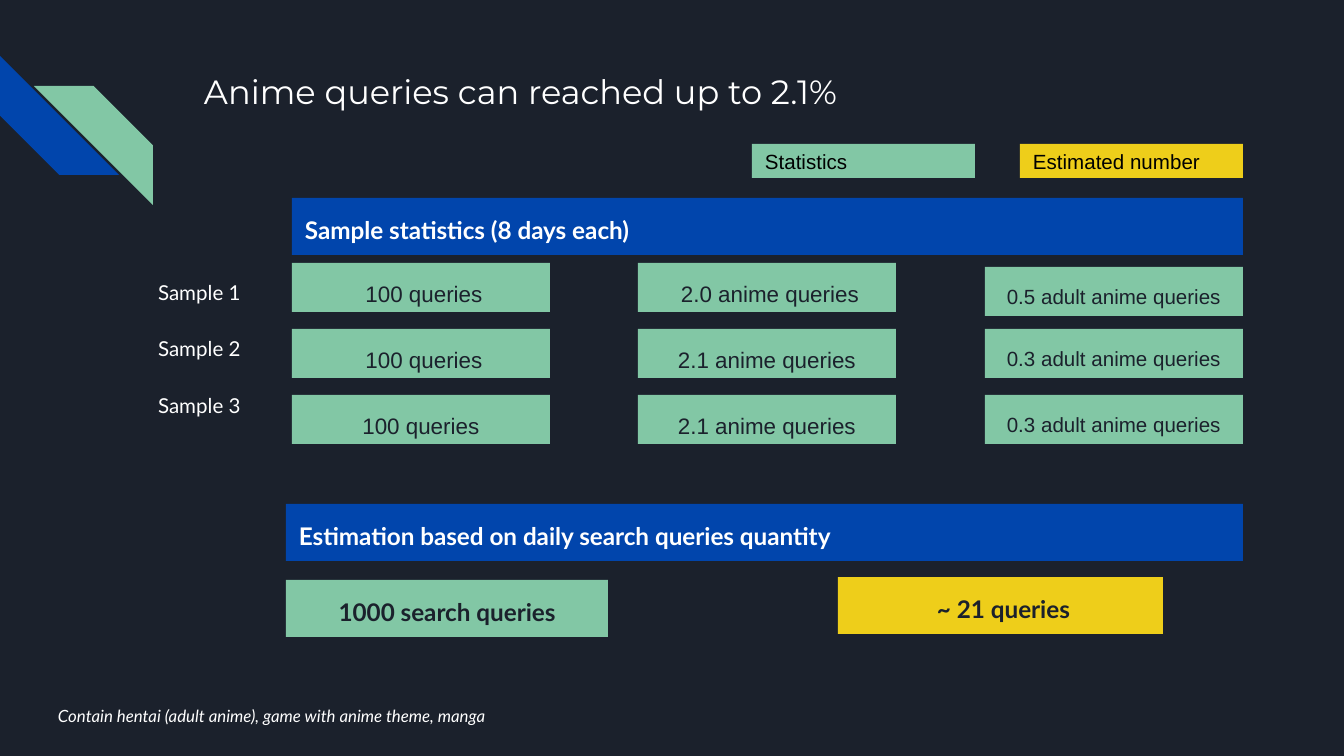
from pptx import Presentation
from pptx.dml.color import RGBColor
from pptx.enum.shapes import MSO_SHAPE
from pptx.enum.text import MSO_ANCHOR, PP_ALIGN
from pptx.util import Pt

EMU_PER_PX = 914400 / 134.4
NAVY, BLUE, GREEN, YELLOW = "1B212C", "0145AC", "82C7A5", "EECE1A"
WHITE, BLACK = "FFFFFF", "000000"

# Text formats
BODY = dict(line_spacing=1.15, space_after=Pt(12))
CENTRED = dict(BODY, alignment=PP_ALIGN.CENTER)
LEFT = dict(BODY, alignment=PP_ALIGN.LEFT)
PLAIN = dict(alignment=PP_ALIGN.LEFT)
TITLE = dict(name="Montserrat", size=Pt(18))
HEADING = dict(name="Lato", size=Pt(13), bold=True)
LABEL = dict(name="Lato", size=Pt(11))
NOTE = dict(name="Lato", size=Pt(9), italic=True)
CELL = dict(name="Arial", size=Pt(12))
SMALL = dict(name="Arial", size=Pt(11))


def px(n):
    return round(n * EMU_PER_PX)


def rgb(value):
    return RGBColor.from_string(value)


def apply(target, formats):
    for name, value in formats.items():
        setattr(target, name, value)


class Deck:
    def __init__(self, width, height, background):
        self.prs = Presentation()
        self.prs.slide_width, self.prs.slide_height = px(width), px(height)
        self.s = self.prs.slides.add_slide(self.prs.slide_layouts[6])
        self.s.background.fill.solid()
        self.s.background.fill.fore_color.rgb = rgb(background)

    def shape(self, kind, box, fill):
        sp = self.s.shapes.add_shape(kind, *map(px, box))
        sp.shadow.inherit = False
        sp.fill.solid()
        sp.fill.fore_color.rgb = rgb(fill)
        sp.line.fill.background()
        return sp

    def set_text(self, sp, text, font, color, para, anchor=MSO_ANCHOR.TOP):
        tf = sp.text_frame
        apply(tf, dict(word_wrap=True, vertical_anchor=anchor,
                       margin_left=px(13), margin_right=px(13),
                       margin_top=px(13), margin_bottom=px(13)))
        p = tf.paragraphs[0]
        apply(p, para)
        r = p.add_run()
        r.text = text
        apply(r.font, font)
        r.font.color.rgb = rgb(color)

    def block(self, box, fill, text, font, color, para, anchor=MSO_ANCHOR.TOP):
        sp = self.shape(MSO_SHAPE.RECTANGLE, box, fill)
        self.set_text(sp, text, font, color, para, anchor)

    def text(self, box, text, font, para=LEFT):
        sp = self.s.shapes.add_textbox(*map(px, box))
        self.set_text(sp, text, font, WHITE, para)

    def stripe(self, box, fill, rotation=0, flip=False):
        sp = self.shape(MSO_SHAPE.DIAGONAL_STRIPE, box, fill)
        sp.rotation = rotation
        if flip:
            sp._element.spPr.xfrm.set("flipH", "1")


def main():
    deck = Deck(1344, 756, NAVY)

    # Corner decoration and title
    deck.stripe((0, 56, 119, 119), BLUE, rotation=270)
    deck.stripe((34, 86, 119, 119), GREEN, flip=True)
    deck.text((191, 58, 1035, 134), "Anime queries can reached up to 2.1%", TITLE, PLAIN)

    # Legend
    for x, fill, text in ((752, GREEN, "Statistics"), (1020, YELLOW, "Estimated number")):
        deck.block((x, 144, 223, 34), fill, text, SMALL, BLACK, PLAIN, MSO_ANCHOR.MIDDLE)

    # Section headings
    for x, y, text in ((292, 198, "Sample statistics (8 days each)"),
                       (286, 504, "Estimation based on daily search queries quantity")):
        deck.block((x, y, 1243 - x, 57), BLUE, text, HEADING, WHITE, LEFT)

    # Samples: the last cell of the first row sits slightly lower
    samples = ((" 100 queries", " 2.0 anime queries", "0.5 adult anime queries"),
               (" 100 queries", "2.1 anime queries", "0.3 adult anime queries"),
               ("100 queries", "2.1 anime queries", "0.3 adult anime queries"))
    columns = ((292, CELL), (638, CELL), (985, SMALL))
    for i, row in enumerate(samples):
        deck.text((145, 263 + round(56.5 * i), 146, 50), f"Sample {i + 1}", LABEL)
        for (x, font), text in zip(columns, row):
            y = 267 if i == 0 and font is SMALL else 263 + 66 * i
            deck.block((x, y, 258, 49), GREEN, text, font, NAVY, CENTRED)

    # Estimation
    deck.block((286, 580, 322, 57), GREEN, "1000 search queries", HEADING, NAVY, CENTRED)
    deck.block((838, 577, 325, 57), YELLOW, " ~ 21 queries", HEADING, NAVY, CENTRED)

    # Footnote
    deck.text((45, 691, 918, 75),
              "Contain hentai (adult anime), game with anime theme, manga", NOTE)

    deck.prs.save("out.pptx")


if __name__ == "__main__":
    main()
